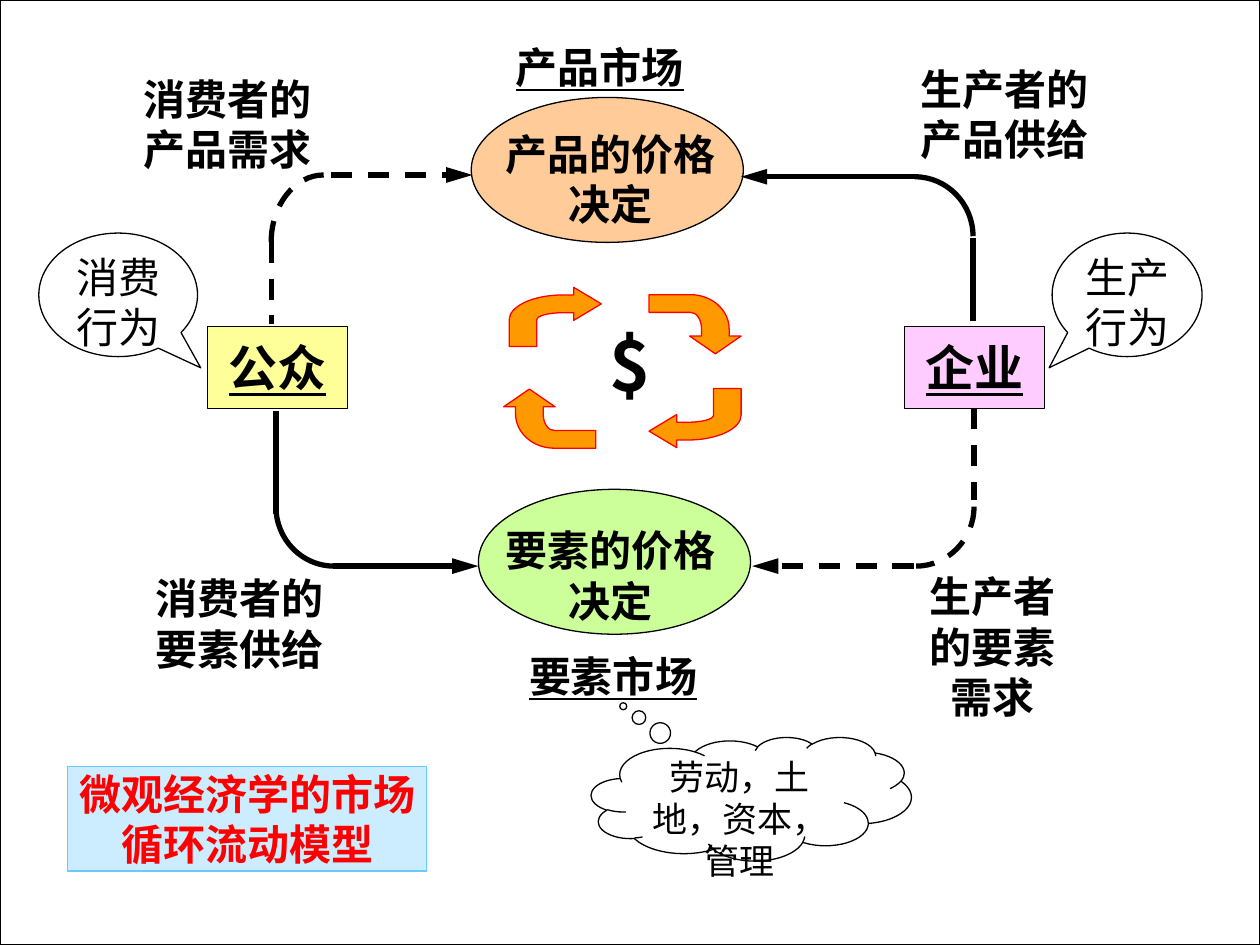
from lxml import etree
from pptx import Presentation
from pptx.dml.color import RGBColor
from pptx.enum.dml import MSO_LINE
from pptx.enum.shapes import MSO_CONNECTOR, MSO_SHAPE
from pptx.enum.text import MSO_ANCHOR, PP_ALIGN
from pptx.oxml.ns import qn
from pptx.util import Pt

RECT, OVAL = MSO_SHAPE.RECTANGLE, MSO_SHAPE.OVAL
SPEECH, CLOUD = MSO_SHAPE.OVAL_CALLOUT, MSO_SHAPE.CLOUD_CALLOUT
STRAIGHT, DASH = MSO_CONNECTOR.STRAIGHT, MSO_LINE.DASH
TOP, MIDDLE, CENTER = MSO_ANCHOR.TOP, MSO_ANCHOR.MIDDLE, PP_ALIGN.CENTER

BLACK = RGBColor(0x00, 0x00, 0x00)
WHITE = RGBColor(0xFF, 0xFF, 0xFF)
RED = RGBColor(0xFF, 0x00, 0x00)
YELLOW = RGBColor(0xFF, 0xFF, 0x99)
PINK = RGBColor(0xFF, 0xCC, 0xFF)
PEACH = RGBColor(0xFF, 0xCC, 0x99)
GREEN = RGBColor(0xCC, 0xFF, 0x99)
ORANGE = RGBColor(0xFF, 0x99, 0x00)
PALE_BLUE = RGBColor(0xCC, 0xEC, 0xFF)
SKY = RGBColor(0x66, 0xCC, 0xFF)

PLAIN = {"name": "Times New Roman", "size": Pt(24), "bold": False}
BOLD = {**PLAIN, "bold": True}
UNDERLINED = {**BOLD, "underline": True}

# Bent arrow in unit proportions; each curve takes three vertices
BENT_ARROW = [(1, 0.28), (0.7, 0), (0.7, 0.13), (0.58, 0.13),
              (0.26, 0.13), (0, 0.32), (0, 0.55),
              (0, 1), (0.3, 1), (0.3, 0.55),
              (0.3, 0.48), (0.43, 0.43), (0.58, 0.43),
              (0.7, 0.43), (0.7, 0.56)]
BENT_ARROW_CURVES = (4, 10)
ROUNDNESS = 0.55


def points(*lengths):
    return [Pt(length) for length in lengths]


def write(shape, text, style, color=BLACK, anchor=TOP, margins=(0, 0)):
    """Fill a shape with one centred, wrapped paragraph."""
    frame = shape.text_frame
    frame.word_wrap = True
    frame.vertical_anchor = anchor
    frame.margin_left = frame.margin_right = Pt(margins[0])
    frame.margin_top = frame.margin_bottom = Pt(margins[1])
    paragraph = frame.paragraphs[0]
    paragraph.alignment = CENTER
    # Keep punctuation inside the text area
    paragraph._p.get_or_add_pPr().set("hangingPunct", "0")
    run = paragraph.add_run()
    run.text = text
    for key, value in style.items():
        setattr(run.font, key, value)
    run.font.color.rgb = color


def paint(shape, fill, line=BLACK, width=0.75):
    if fill is None:
        shape.fill.background()
    else:
        shape.fill.solid()
        shape.fill.fore_color.rgb = fill
    shape.line.color.rgb = line
    shape.line.width = Pt(width)


def add_box(slide, kind, box, fill):
    shape = slide.shapes.add_shape(kind, *points(*box))
    shape.shadow.inherit = False
    paint(shape, fill)
    return shape


def add_label(slide, box, text, style, margins=(0, 0)):
    write(slide.shapes.add_textbox(*points(*box)), text, style, margins=margins)


def add_callout(slide, kind, box, tip, text, size=24):
    callout = add_box(slide, kind, box, WHITE)
    for index, value in enumerate(tip):
        callout.adjustments[index] = value
    write(callout, text, {**PLAIN, "size": Pt(size)})


def add_outline(slide, vertices, curve_starts, close):
    """Draw an outline; three vertices from each curve start form a Bezier."""
    first, *rest = [points(*vertex) for vertex in vertices]
    builder = slide.shapes.build_freeform(*first)
    builder.add_line_segments(rest, close=close)
    shape = builder.convert_to_shape()
    shape.shadow.inherit = False
    segments = list(next(shape._element.iter(qn("a:path"))))
    for start in curve_starts:
        curve = etree.Element(qn("a:cubicBezTo"))
        segments[start].addprevious(curve)
        for segment in segments[start:start + 3]:
            curve.append(segment[0])
            segment.getparent().remove(segment)
    return shape


def add_corner(slide, start, end, dashed):
    """Quarter ellipse that leaves start vertically and meets end level."""
    (x1, y1), (x2, y2) = start, end
    vertices = [start, (x1, y1 + ROUNDNESS * (y2 - y1)),
                (x2 + ROUNDNESS * (x1 - x2), y2), end]
    corner = add_outline(slide, vertices, (1,), False)
    paint(corner, None, width=3)
    if dashed:
        corner.line.dash_style = DASH


def add_flow(slide, ends, dashed, arrow):
    flow = slide.shapes.add_connector(STRAIGHT, *points(*ends))
    flow.line.color.rgb = BLACK
    flow.line.width = Pt(3)
    if dashed:
        flow.line.dash_style = DASH
    if arrow:
        etree.SubElement(flow.line._get_or_add_ln(), qn("a:tailEnd"),
                         type="triangle", w="med", len="lg")
    etree.SubElement(flow._element.spPr, qn("a:effectLst"))


def add_bent_arrow(slide, box, rotation):
    left, top, width, height = box
    vertices = [(left + x * width, top + y * height) for x, y in BENT_ARROW]
    arrow = add_outline(slide, vertices, BENT_ARROW_CURVES, True)
    paint(arrow, ORANGE, RED)
    arrow.rotation = rotation


def add_title(slide, box, text):
    title = slide.shapes.title
    title.left, title.top, title.width, title.height = points(*box)
    paint(title, PALE_BLUE, SKY)
    write(title, text, BOLD, RED, MIDDLE)
    # Bring the title above the page frame
    title._element.getparent().append(title._element)


def main():
    prs = Presentation()
    prs.slide_width, prs.slide_height = points(720, 540)
    slide = prs.slides.add_slide(prs.slide_layouts[5])

    # Page frame
    add_box(slide, RECT, (0, 0, 720, 540), WHITE)

    # The public and the firms
    for left, fill, actor in ((118.8, YELLOW, "公众"), (517, PINK, "企业")):
        write(add_box(slide, RECT, (left, 186.5, 79.7, 46.8), fill), actor,
              {**UNDERLINED, "size": Pt(28)}, anchor=MIDDLE)

    # Price ovals with their captions
    for left, top, fill, text_top, text in (
            (269.3, 55.7, PEACH, 73.4, "产品的价格决定"),
            (273.4, 279.6, GREEN, 299.9, "要素的价格决定")):
        add_box(slide, OVAL, (left, top, 155.5, 82.8), fill)
        add_label(slide, (288, text_top, 121.7, 52.6), text, BOLD)

    # Market names
    add_label(slide, (286.6, 23.8, 112.3, 30.2), "产品市场", UNDERLINED)
    add_label(slide, (298.8, 371.9, 103, 34.6), "要素市场", UNDERLINED)

    # Rounded corners of the loop: start, end, dashed
    for corner in (((556, 135), (522.7, 101), False),
                   ((155, 138.2), (185, 100), True),
                   ((157.7, 289.5), (190.8, 323.5), False),
                   ((556.6, 289.5), (523.5, 323.5), True)):
        add_corner(slide, *corner)

    # Straight flows: ends, dashed, arrow
    for flow in (((155, 138.2, 155, 185), True, False),
                 ((556, 136.1, 556, 183.6), False, False),
                 ((556.6, 233.3, 556.6, 285.8), True, False),
                 ((157.7, 234.7, 157.7, 293.8), False, False),
                 ((190.1, 323.5, 273.4, 323.5), False, True),
                 ((522, 323.5, 429.8, 323.5), True, True),
                 ((522.7, 101, 423.4, 101), False, True),
                 ((189.4, 100, 270, 100), True, True)):
        add_flow(slide, *flow)

    # Supply and demand labels
    for left, top, width, text in ((77.4, 41.8, 105.1, "消费者的产品需求"),
                                   (522, 36.2, 103.7, "生产者的产品供给"),
                                   (519.8, 326.2, 95, "生产者的要素需求"),
                                   (88.6, 327.4, 96.5, "消费者的要素供给")):
        add_label(slide, (left, top, width, 50.4), text, BOLD)

    # Callouts
    add_callout(slide, SPEECH, (22.2, 133.2, 90.7, 70.6), (0.52, 0.59), "消费行为")
    add_callout(slide, SPEECH, (601.2, 133.2, 85.7, 70.6), (-0.52, 0.59), "生产行为")
    add_callout(slide, CLOUD, (337.9, 421.2, 182.9, 70.6), (-0.4, -0.75),
                "劳动，土地，资本，管理", 20)

    add_title(slide, (38.7, 438, 205.2, 59.8), "微观经济学的市场循环流动模型")

    # Money cycle
    for box, rotation in (((291, 164.2, 52.6, 33.8), 0),
                          ((297.2, 212.9, 33.8, 52.6), 270),
                          ((370.9, 222, 52.6, 33.8), 180),
                          ((380.3, 159, 33.8, 52.6), 90)):
        add_bent_arrow(slide, box, rotation)
    add_label(slide, (324, 180, 72, 55.4), "$",
              {"name": "Noto Sans CJK SC", "size": Pt(40), "bold": True}, (7.2, 3.6))

    prs.save("out.pptx")


if __name__ == "__main__":
    main()
